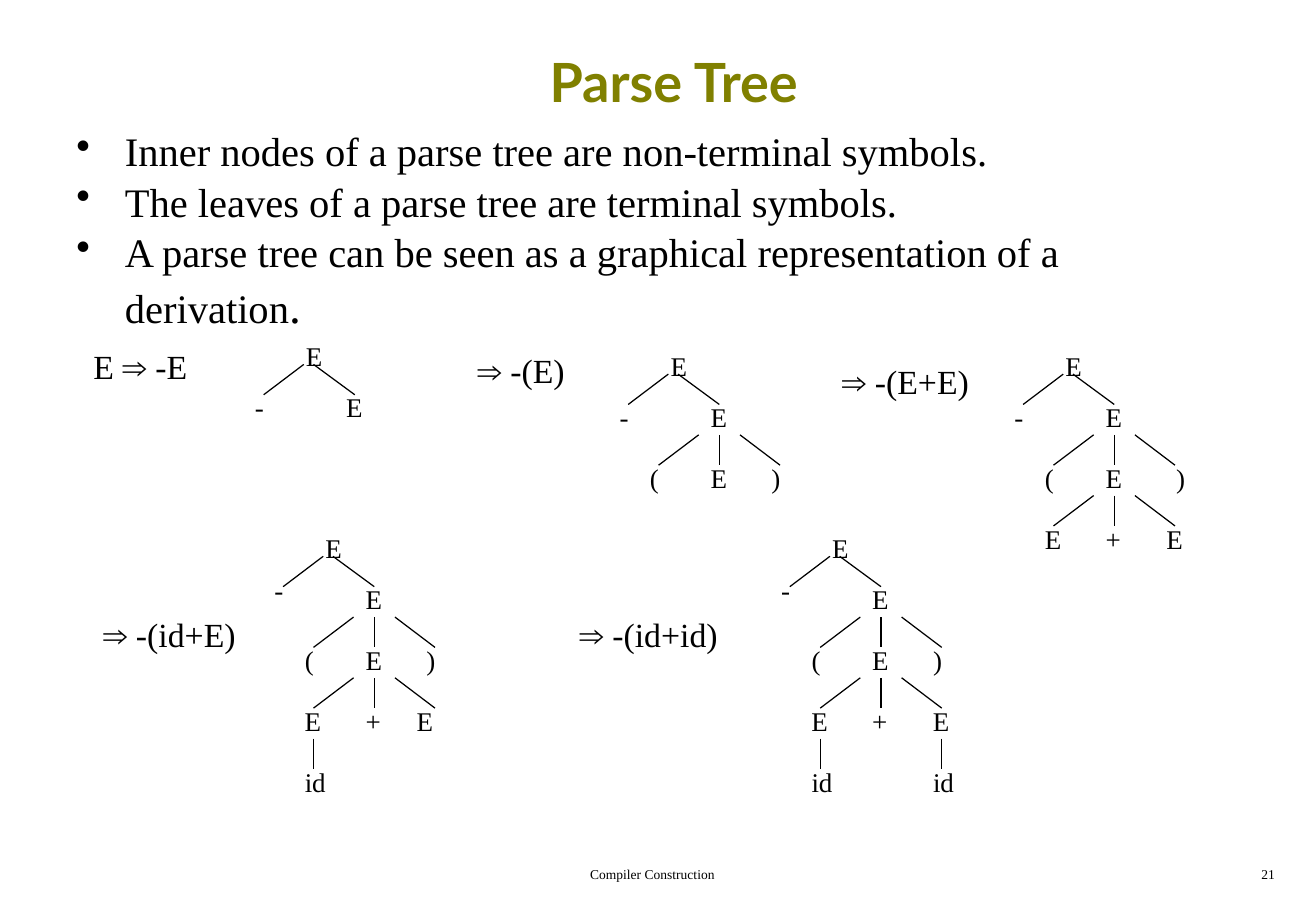
import pptx
import pptx.util
import pptx.dml.color
import pptx.enum.shapes
import pptx.enum.text
import pptx.oxml.ns
import lxml.etree

Inches = pptx.util.Inches
Pt = pptx.util.Pt
ALIGN = pptx.enum.text.PP_ALIGN

COLOURS = {"text": "000000", "title": "808000", "background": "FFFFFF"}
SERIF = "Times New Roman"

BULLETS = [
    [("Inner nodes of a parse tree are non-terminal symbols.", 24)],
    [("The leaves of a parse tree are terminal symbols.", 24)],
    [("A parse tree can be seen as a graphical representation of a derivation", 24),
     (".", 28)],
]

# Text, left, top, width
DERIVATION_STEPS = [
    ("E ⇒ -E", 0.67, 2.8, 1.12),
    ("⇒ -(E)", 3.83, 2.83, 0.99),
    ("⇒ -(E+E)", 6.83, 2.92, 1.32),
    ("⇒ -(id+E)", 0.75, 5, 1.36),
    ("⇒ -(id+id)", 4.67, 5, 1.41),
]

# Label offsets from the left of the root label
LEFT, MIDDLE, RIGHT = -0.17, 0.33, 0.83
BRACKETS = [("(", LEFT), ("E", MIDDLE), (")", RIGHT)]
WIDE_BRACKETS = [("(", LEFT), ("E", MIDDLE), (")", 0.91)]
SUM = [("E", LEFT), ("+", MIDDLE), ("E", RIGHT)]
NARROW_SUM = [("E", LEFT), ("+", MIDDLE), ("E", 0.75)]

# Root left, root top, drop to the minus sign, three-way rows, id offsets
TREES = [
    (2.42, 2.75, 0.42, [], []),
    (5.42, 2.83, 0.42, [BRACKETS], []),
    (8.67, 2.83, 0.42, [WIDE_BRACKETS, SUM], []),
    (2.58, 4.33, 0.34, [BRACKETS, NARROW_SUM], [LEFT]),
    (6.75, 4.33, 0.34, [BRACKETS, SUM], [LEFT, RIGHT]),
]
ROW_STEP = 0.5
BRANCH_HEIGHT = 0.25
LABEL_WIDTHS = {"E": 0.34, "+": 0.33, "id": 0.38}


def colour(name):
    return pptx.dml.color.RGBColor.from_string(COLOURS[name])


def add_run(paragraph, text, size, font=SERIF, colour_name="text", bold=False):
    run = paragraph.add_run()
    run.text = text
    run.font.size = Pt(size)
    run.font.name = font
    run.font.bold = bold
    run.font.color.rgb = colour(colour_name)


def add_box(shapes, left, top, width, height, wrap=True):
    box = shapes.add_textbox(Inches(left), Inches(top), Inches(width), Inches(height))
    box.text_frame.word_wrap = wrap
    return box.text_frame


def add_label(shapes, text, left, top, width, height=0.37, size=16):
    """Add one line of text in a box that fits it."""
    frame = add_box(shapes, left, top, width, height, wrap=False)
    frame.auto_size = pptx.enum.text.MSO_AUTO_SIZE.SHAPE_TO_FIT_TEXT
    add_run(frame.paragraphs[0], text, size)


def add_title(slide):
    frame = add_box(slide.shapes, 0.42, 0.17, 10.25, 1)
    frame.vertical_anchor = pptx.enum.text.MSO_ANCHOR.MIDDLE
    paragraph = frame.paragraphs[0]
    paragraph.alignment = ALIGN.CENTER
    add_run(paragraph, "Parse Tree", 32, "Lato", "title", True)


def add_footer(slide, text, left, width, alignment):
    paragraph = add_box(slide.shapes, left, 7.08, width, 0.25).paragraphs[0]
    paragraph.alignment = alignment
    add_run(paragraph, text, 8)


def set_bullet(paragraph, indent):
    properties = paragraph._p.get_or_add_pPr()
    properties.set("marL", str(Inches(indent)))
    properties.set("indent", str(-Inches(indent)))
    bullet = lxml.etree.SubElement(properties, pptx.oxml.ns.qn("a:buChar"))
    bullet.set("char", "•")


def add_bullets(slide):
    frame = add_box(slide.shapes, 0.53, 0.99, 9.7, 1.38)
    for index, parts in enumerate(BULLETS):
        paragraph = frame.add_paragraph() if index else frame.paragraphs[0]
        set_bullet(paragraph, 0.4)
        if index:
            paragraph.space_before = Pt(1.2)
        for text, size in parts:
            add_run(paragraph, text, size)


def add_branch(shapes, start_x, end_x, top):
    line = shapes.add_connector(
        pptx.enum.shapes.MSO_CONNECTOR.STRAIGHT,
        Inches(start_x), Inches(top), Inches(end_x), Inches(top + BRANCH_HEIGHT))
    line.line.color.rgb = colour("text")
    line.line.width = Pt(0.75)
    lxml.etree.SubElement(line._element.spPr, pptx.oxml.ns.qn("a:effectLst"))


def add_tree(slide, left, top, minus_drop, rows, id_offsets):
    shapes = slide.shapes.add_group_shape().shapes

    def node(text, x, y):
        add_label(shapes, text, left + x, top + y, LABEL_WIDTHS.get(text, 0.28))

    def branch(start_x, end_x, y):
        add_branch(shapes, left + start_x, left + end_x, top + y)

    branch(0.08, -0.25, 0.25)
    branch(0.16, 0.5, 0.25)
    node("E", 0, 0)
    node("-", -0.42, minus_drop)
    node("E", MIDDLE, 0.42)
    for index, row in enumerate(rows):
        drop = index * ROW_STEP
        for start_x, end_x in [(0.33, 0), (0.5, 0.5), (0.67, 1)]:
            branch(start_x, end_x, 0.75 + drop)
        for text, x in row:
            node(text, x, 0.92 + drop)
    for x in id_offsets:
        branch(x - LEFT, x - LEFT, 1.75)
        node("id", x, 1.92)


def main():
    presentation = pptx.Presentation()
    presentation.slide_width = Inches(10.83)
    presentation.slide_height = Inches(7.5)
    slide = presentation.slides.add_slide(presentation.slide_layouts[6])
    slide.background.fill.solid()
    slide.background.fill.fore_color.rgb = colour("background")

    add_footer(slide, "Compiler Construction", 3.34, 4.06, ALIGN.CENTER)
    add_footer(slide, "21", 8.33, 2.26, ALIGN.RIGHT)
    add_title(slide)
    add_bullets(slide)
    for tree in TREES:
        add_tree(slide, *tree)
    for text, left, top, width in DERIVATION_STEPS:
        add_label(slide.shapes, text, left, top, width, 0.43, 20)
    presentation.save("out.pptx")


if __name__ == "__main__":
    main()
